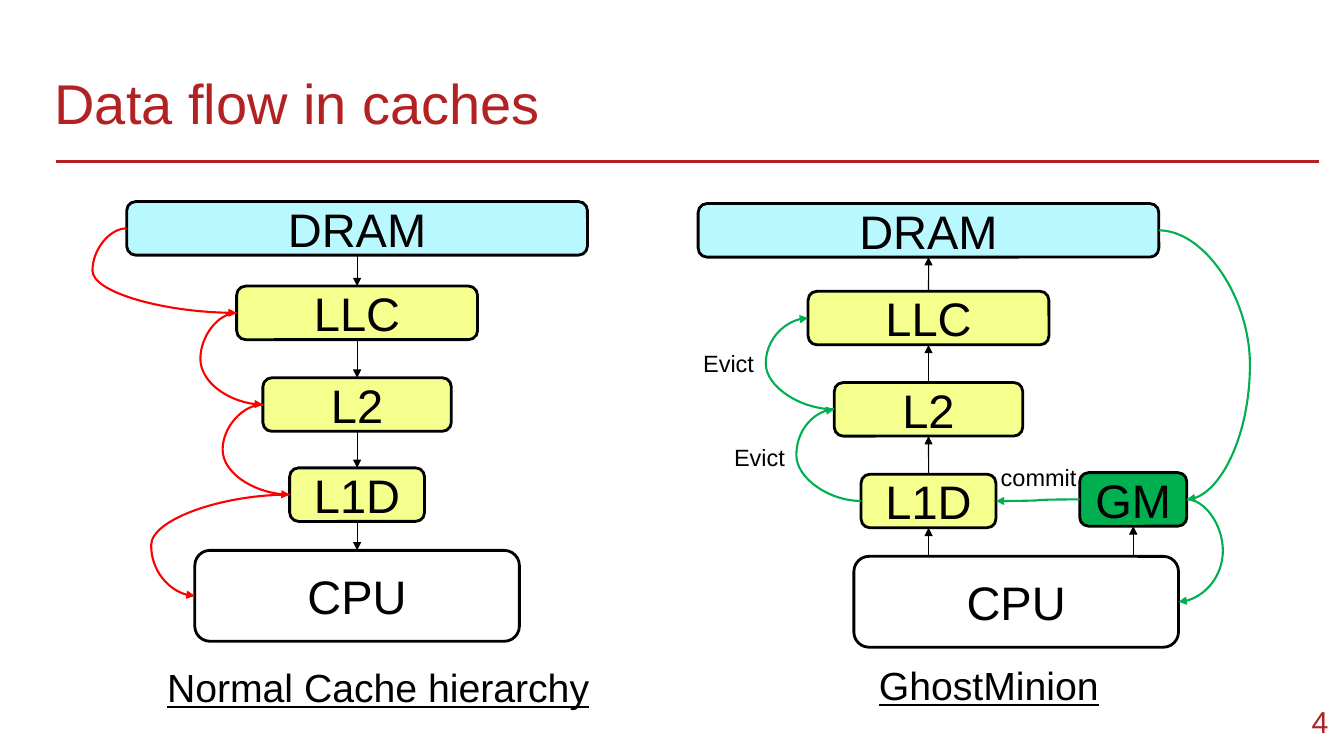
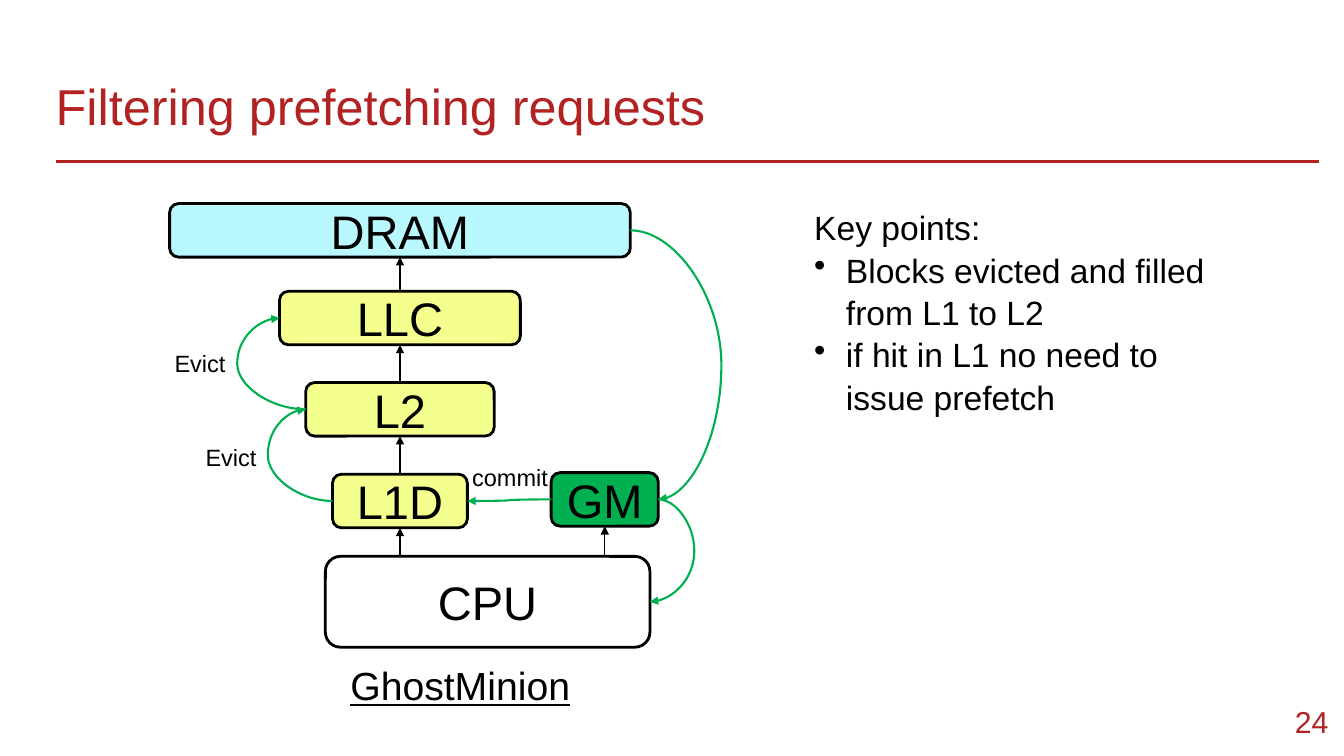
import pptx
import pptx.util
import pptx.dml.color
import pptx.enum.shapes
import pptx.enum.text
import pptx.oxml.ns
import lxml.etree

Cm = pptx.util.Cm
Pt = pptx.util.Pt
RGBColor = pptx.dml.color.RGBColor
CONNECTOR = pptx.enum.shapes.MSO_CONNECTOR
ALIGN = pptx.enum.text.PP_ALIGN
ANCHOR = pptx.enum.text.MSO_ANCHOR
qn = pptx.oxml.ns.qn

CRIMSON = RGBColor(0xB2, 0x22, 0x22)
BLACK = RGBColor(0x00, 0x00, 0x00)
WHITE = RGBColor(0xFF, 0xFF, 0xFF)
RED = RGBColor(0xFF, 0x00, 0x00)
GREEN = RGBColor(0x00, 0xB0, 0x50)
YELLOW = RGBColor(0xF4, 0xFF, 0x8D)
CYAN = RGBColor(0xBA, 0xF8, 0xFF)

TOP, LEFT, BOTTOM, RIGHT = range(4)

MEMORY_HEIGHT = 1.35
CPU_SIZE = (8.18, 2.29)
MEMORIES = {
    "DRAM": (11.61, CYAN),
    "LLC": (6.07, YELLOW),
    "L2": (4.75, YELLOW),
    "L1D": (3.4, YELLOW),
}


class Deck:
    font_name = "Arial"

    def __init__(self):
        self.presentation = pptx.Presentation()
        self.presentation.slide_width = Cm(33.87)
        self.presentation.slide_height = Cm(19.05)
        self.slide = None

    def apply_format(self, target, **values):
        for name, value in values.items():
            setattr(target, name, value)

    def style_text(self, paragraph, size, colour=BLACK, alignment=ALIGN.LEFT, underline=None):
        paragraph.alignment = alignment
        self.apply_format(
            paragraph.font, name=self.font_name, size=Pt(size), underline=underline
        )
        paragraph.font.color.rgb = colour

    def add_slide(self, title, number, size, left, top):
        layout = self.presentation.slide_layouts[5]
        self.slide = self.presentation.slides.add_slide(layout)
        placeholder = self.slide.shapes.title
        self.apply_format(
            placeholder, left=Cm(left), top=Cm(top), width=Cm(28.4), height=Cm(2.13)
        )
        frame = placeholder.text_frame
        self.apply_format(
            frame,
            text=title,
            auto_size=pptx.enum.text.MSO_AUTO_SIZE.NONE,
            vertical_anchor=ANCHOR.TOP,
            margin_top=Cm(0.25),
            margin_bottom=Cm(0.25),
        )
        self.style_text(frame.paragraphs[0], size, CRIMSON)
        rule = self.slide.shapes.add_connector(
            CONNECTOR.STRAIGHT, Cm(1.42), Cm(4.07), Cm(33.25), Cm(4.07)
        )
        self.style_line(rule, CRIMSON, 1.5)
        number_box = self.add_text(
            [str(number)], 31.34, 17.45, 2.39, 1.45, 21.6, CRIMSON, ALIGN.RIGHT
        )
        number_box.text_frame.vertical_anchor = ANCHOR.MIDDLE

    def add_text(self, lines, left, top, width, height, size, colour=BLACK,
                 alignment=ALIGN.LEFT, underline=None):
        box = self.slide.shapes.add_textbox(Cm(left), Cm(top), Cm(width), Cm(height))
        frame = box.text_frame
        frame.word_wrap = True
        frame.text = "\n".join(lines)
        for paragraph in frame.paragraphs:
            self.style_text(paragraph, size, colour, alignment, underline)
        return box

    def add_key_points(self, heading, points):
        box = self.add_text([heading], 20.27, 5.05, 11.28, 5.38, 24)
        frame = box.text_frame
        for point in points:
            paragraph = frame.add_paragraph()
            paragraph.text = point
            properties = paragraph._p.get_or_add_pPr()
            properties.set("marL", str(Cm(0.8)))
            properties.set("indent", str(-Cm(0.8)))
            bullet = lxml.etree.SubElement(properties, qn("a:buChar"))
            bullet.set("char", "•")
            self.style_text(paragraph, 24)
        for paragraph in frame.paragraphs:
            paragraph.line_spacing = 1.05

    def add_block(self, label, centre, top, width, height, fill):
        shape = self.slide.shapes.add_shape(
            pptx.enum.shapes.MSO_SHAPE.ROUNDED_RECTANGLE,
            Cm(centre - width / 2), Cm(top), Cm(width), Cm(height),
        )
        shape.shadow.inherit = False
        shape.fill.solid()
        shape.fill.fore_color.rgb = fill
        shape.line.color.rgb = BLACK
        shape.line.width = Pt(2)
        frame = shape.text_frame
        self.apply_format(frame, text=label, vertical_anchor=ANCHOR.MIDDLE)
        self.style_text(frame.paragraphs[0], 33.6, alignment=ALIGN.CENTER)
        return shape

    def style_line(self, connector, colour, width, arrow=False):
        connector.line.color.rgb = colour
        connector.line.width = Pt(width)
        properties = connector.element.spPr
        if arrow:
            outline = properties.find(qn("a:ln"))
            lxml.etree.SubElement(outline, qn("a:tailEnd")).set("type", "triangle")
        lxml.etree.SubElement(properties, qn("a:effectLst"))

    def add_arrow(self, source, source_side, target, target_side):
        connector = self.slide.shapes.add_connector(CONNECTOR.STRAIGHT, 0, 0, 0, 0)
        connector.begin_connect(source, source_side)
        connector.end_connect(target, target_side)
        self.style_line(connector, BLACK, 0.75, arrow=True)

    def add_feed(self, source, target):
        centre = target.left + target.width // 2
        connector = self.slide.shapes.add_connector(
            CONNECTOR.STRAIGHT, centre, source.top, centre, target.top + target.height
        )
        connector.end_connect(target, BOTTOM)
        self.style_line(connector, BLACK, 0.75, arrow=True)

    def add_curve(self, source, source_side, target, target_side, bend, colour):
        connector = self.slide.shapes.add_connector(CONNECTOR.CURVE, 0, 0, 0, 0)
        connector.begin_connect(source, source_side)
        connector.end_connect(target, target_side)
        span = connector.end_x - connector.begin_x
        ratio = round((Cm(bend) - connector.begin_x) / span * 100000)
        geometry = connector.element.spPr.find(qn("a:prstGeom"))
        adjustments = geometry.find(qn("a:avLst"))
        if adjustments is None:
            adjustments = lxml.etree.SubElement(geometry, qn("a:avLst"))
        guide = lxml.etree.SubElement(adjustments, qn("a:gd"))
        guide.set("name", "adj1")
        guide.set("fmla", f"val {ratio}")
        self.style_line(connector, colour, 1.5, arrow=True)

    def add_memories(self, centre, tops):
        return [
            self.add_block(label, centre, top, width, MEMORY_HEIGHT, fill)
            for (label, (width, fill)), top in zip(MEMORIES.items(), tops)
        ]


def draw_normal_hierarchy(deck, centre):
    blocks = deck.add_memories(centre, (5.08, 7.21, 9.52, 11.79))
    blocks.append(deck.add_block("CPU", centre, 13.87, *CPU_SIZE, WHITE))
    bends = (-6.67, -3.95, -3.39, -5.19)
    for upper, lower, bend in zip(blocks, blocks[1:], bends):
        deck.add_arrow(upper, BOTTOM, lower, TOP)
        deck.add_curve(upper, LEFT, lower, LEFT, centre + bend, RED)
    deck.add_text(
        ["Normal Cache hierarchy"], centre - 5.04, 16.59, 11.5, 1.45, 28, underline=True
    )


def draw_ghost_minion(deck, centre):
    blocks = deck.add_memories(centre, (5.13, 7.34, 9.64, 11.95))
    dram, llc, l2, l1d = blocks
    cpu = deck.add_block("CPU", centre + 2.21, 14.02, *CPU_SIZE, WHITE)
    minion = deck.add_block("GM", centre + 5.16, 11.91, 2.7, MEMORY_HEIGHT, GREEN)
    for upper, lower in zip(blocks, blocks[1:]):
        deck.add_arrow(lower, TOP, upper, BOTTOM)
    for target in (l1d, minion):
        deck.add_feed(cpu, target)
    for source, source_side, target, target_side, bend in (
        (dram, RIGHT, minion, RIGHT, 8.1),
        (minion, LEFT, l1d, RIGHT, 2.76),
        (l1d, LEFT, l2, LEFT, -3.33),
        (l2, LEFT, llc, LEFT, -4.1),
        (minion, RIGHT, cpu, RIGHT, 7.42),
    ):
        deck.add_curve(source, source_side, target, target_side, centre + bend, GREEN)
    for label, offset, top, width in (
        ("commit", 1.57, 11.53, 2.6),
        ("Evict", -5.15, 11.05, 2),
        ("Evict", -5.93, 8.67, 2),
    ):
        deck.add_text([label], centre + offset, top, width, 0.97, 16.8)
    deck.add_text(
        ["GhostMinion"], centre - 1.5, 16.54, 6.3, 1.45, 28, underline=True
    )


def main():
    deck = Deck()
    deck.add_slide("Data flow in caches", 4, 40, 1.12, 1.47)
    draw_normal_hierarchy(deck, 9)
    draw_ghost_minion(deck, 23.4)

    deck.add_slide("Filtering prefetching requests", 24, 36, 1.15, 1.63)
    draw_ghost_minion(deck, 10.08)
    deck.add_key_points(
        "Key points:",
        ["Blocks evicted and filled from L1 to L2", "if hit in L1 no need to issue prefetch"],
    )
    deck.presentation.save("out.pptx")


if __name__ == "__main__":
    main()
